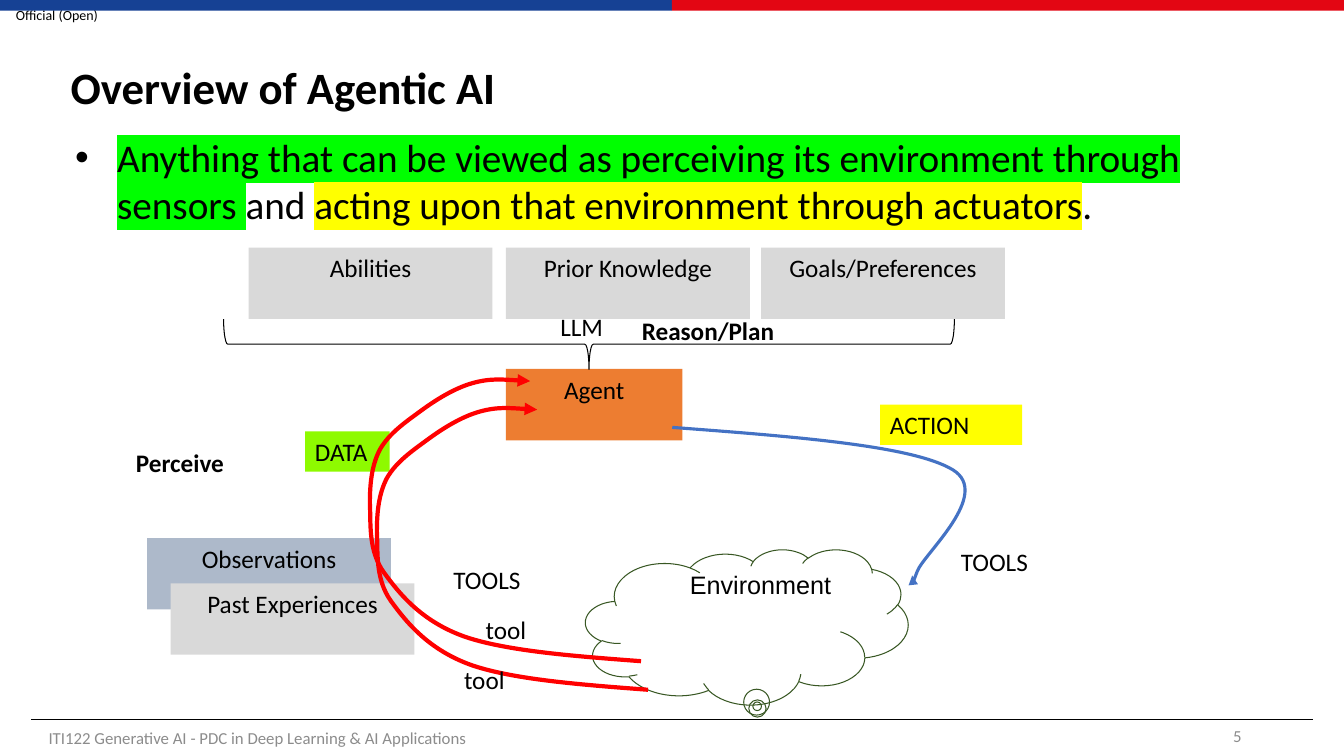
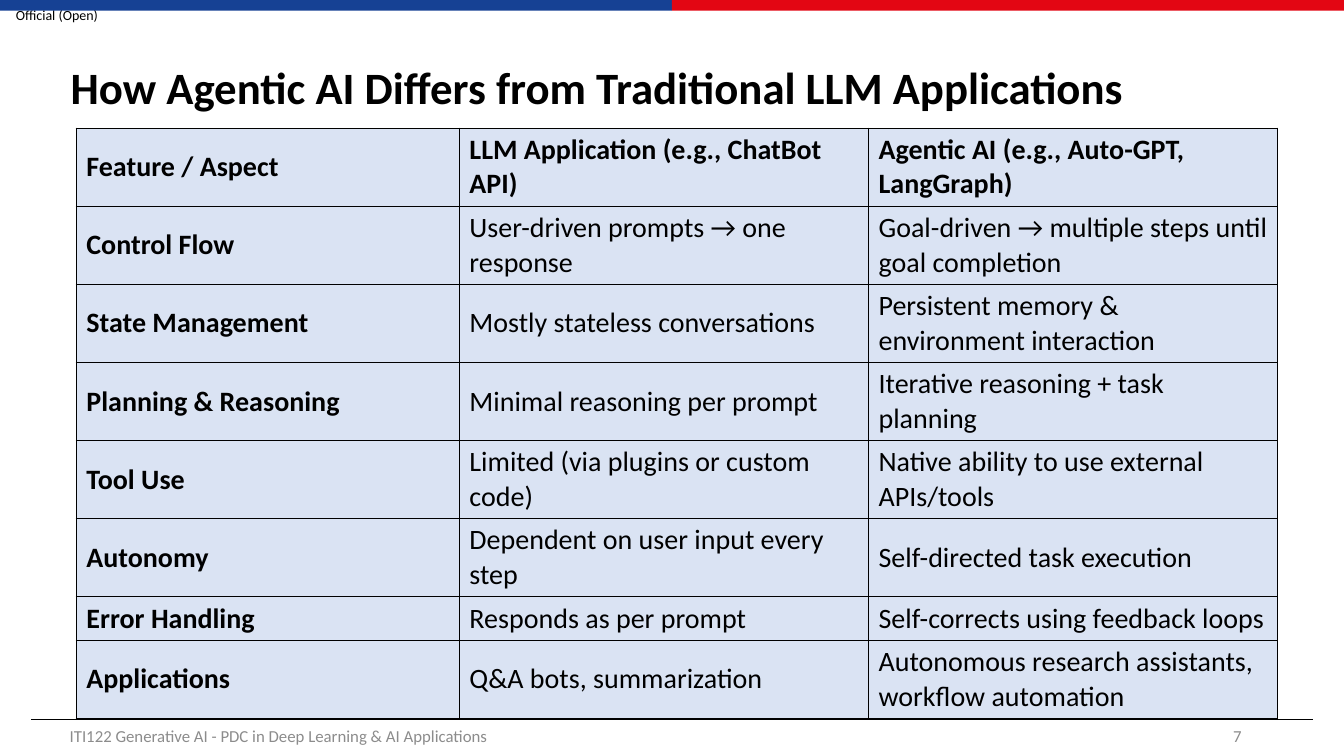
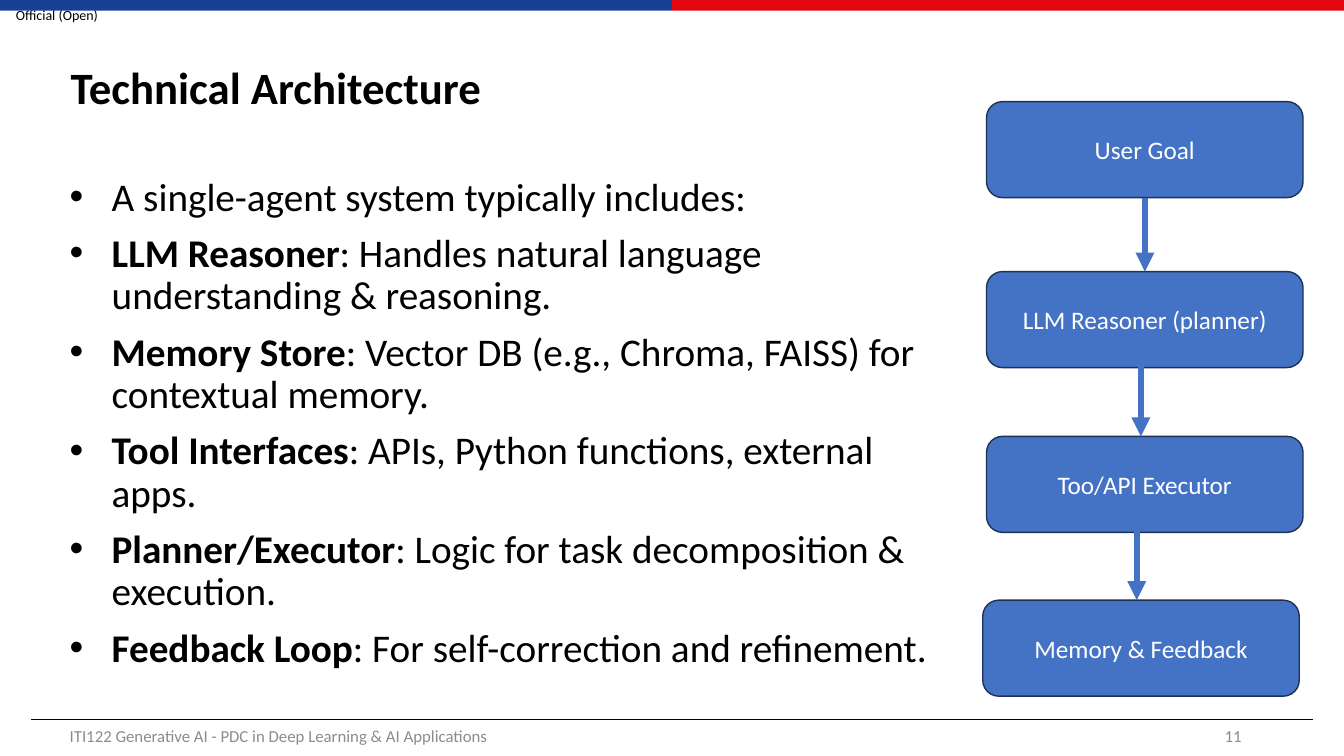
from pptx import Presentation
from pptx.dml.color import RGBColor
from pptx.enum.shapes import MSO_CONNECTOR, MSO_SHAPE
from pptx.enum.text import MSO_ANCHOR, MSO_AUTO_SIZE, PP_ALIGN
from pptx.oxml.ns import qn
from pptx.oxml.xmlchemy import OxmlElement
from pptx.util import Pt

RECTANGLE, ROUNDED = MSO_SHAPE.RECTANGLE, MSO_SHAPE.ROUNDED_RECTANGLE
BRACE, CLOUD = MSO_SHAPE.RIGHT_BRACE, MSO_SHAPE.CLOUD_CALLOUT
STRAIGHT = MSO_CONNECTOR.STRAIGHT
TOP, MIDDLE = MSO_ANCHOR.TOP, MSO_ANCHOR.MIDDLE
LEFT, CENTER, RIGHT = PP_ALIGN.LEFT, PP_ALIGN.CENTER, PP_ALIGN.RIGHT
NO_AUTOFIT = MSO_AUTO_SIZE.NONE

COLORS = {
    "black": "000000", "white": "FFFFFF", "footer": "8C8C8C",
    "band_blue": "164194", "band_red": "E30613",
    "blue": "4472C4", "navy": "1E3256", "red": "FF0000",
    "orange": "ED7D31", "grey": "D9D9D9", "steel": "ADB9CA",
    "lime": "8EFA00", "yellow": "FFFF00", "green": "00FF00",
    "cloud_line": "385723", "cell": "DAE3F3",
}
FONT = "Calibri"
WIDTH, HEIGHT = 960, 540
FOOTER = "ITI122 Generative AI - PDC in Deep Learning & AI Applications"

COMPARISON = [
    ("Feature / Aspect", "LLM Application (e.g., ChatBot API)",
     "Agentic AI (e.g., Auto-GPT, LangGraph)"),
    ("Control Flow", "User-driven prompts → one response",
     "Goal-driven → multiple steps until goal completion"),
    ("State Management", "Mostly stateless conversations",
     "Persistent memory & environment interaction"),
    ("Planning & Reasoning", "Minimal reasoning per prompt",
     "Iterative reasoning + task planning"),
    ("Tool Use", "Limited (via plugins or custom code)",
     "Native ability to use external APIs/tools"),
    ("Autonomy", "Dependent on user input every step",
     "Self-directed task execution"),
    ("Error Handling", "Responds as per prompt",
     "Self-corrects using feedback loops"),
    ("Applications", "Q&A bots, summarization",
     "Autonomous research assistants, workflow automation"),
]
COMPONENTS = [
    ("LLM Reasoner", ": Handles natural language understanding & reasoning."),
    ("Memory Store", ": Vector DB (e.g., Chroma, FAISS) for contextual memory."),
    ("Tool Interfaces", ": APIs, Python functions, external apps."),
    ("Planner/Executor", ": Logic for task decomposition & execution."),
    ("Feedback Loop", ": For self-correction and refinement."),
]

# Curves: a start point, then triples of control, control, end
PERCEIVE_CURVE = [
    (457.9, 472.3),
    (410.4, 468.7), (362.9, 465.1), (332.6, 455),
    (301.7, 444.2), (285.8, 424.8), (274.3, 409),
    (262.8, 393.1), (265, 373.7), (264.2, 359.3),
    (264.2, 344.9), (265.7, 331.9), (271.4, 321.1),
    (277.9, 309.6), (289.4, 301.7), (300.2, 293.8),
    (311, 285.8), (324.7, 277.2), (337.7, 273.6),
    (350.6, 270), (364.3, 271.4), (378.7, 272.2),
]
ACTION_CURVE = [
    (480.2, 305.3),
    (565.9, 311.8), (651.6, 318.2), (680.4, 335.5),
    (709.2, 352.8), (659.5, 396), (655.2, 408.2),
    (650.2, 421.2), (650.9, 416.2), (651.6, 411.1),
]


def rgb(name):
    return RGBColor.from_string(COLORS[name])


def color_element(name):
    element = OxmlElement("a:srgbClr")
    element.set("val", COLORS[name])
    return element


# Text
def add_run(paragraph, text, size, color="black", bold=False, font=FONT, highlight=None):
    run = paragraph.add_run()
    run.text = text
    run.font.name, run.font.size, run.font.bold = font, Pt(size), bold
    run.font.color.rgb = rgb(color)
    if highlight:
        mark = OxmlElement("a:highlight")
        mark.append(color_element(highlight))
        run._r.rPr.find(qn("a:solidFill")).addnext(mark)


def write(shape, text, size=18, align=LEFT, anchor=TOP, wrap=True, **style):
    frame = shape.text_frame
    frame.auto_size, frame.word_wrap = NO_AUTOFIT, wrap
    frame.vertical_anchor = anchor
    paragraph = frame.paragraphs[0]
    paragraph.alignment = align
    add_run(paragraph, text, size, **style)
    return paragraph


def place(shape, left, top, width, height):
    shape.left, shape.top = Pt(left), Pt(top)
    shape.width, shape.height = Pt(width), Pt(height)


def add_label(slide, box, text, **style):
    label = slide.shapes.add_textbox(*map(Pt, box))
    write(label, text, **style)
    return label


def fill_body(slide, box, items, line_spacing):
    """Each item is a list of (text, run style) pairs."""
    body = slide.placeholders[1]
    place(body, *box)
    frame = body.text_frame
    frame.auto_size, frame.vertical_anchor = NO_AUTOFIT, TOP
    for index, runs in enumerate(items):
        paragraph = frame.add_paragraph() if index else frame.paragraphs[0]
        paragraph.space_before = Pt(10 if index else 0)
        paragraph.line_spacing = line_spacing
        properties = paragraph._p.get_or_add_pPr()
        properties.set("marL", str(Pt(30)))
        properties.set("indent", str(Pt(-30)))
        bullet = OxmlElement("a:buChar")
        bullet.set("char", "•")
        properties.append(bullet)
        for text, style in runs:
            add_run(paragraph, text, 28, **style)


# Shapes and lines
def add_box(slide, kind, box, fill=None, line=None, line_width=1):
    shape = slide.shapes.add_shape(kind, *map(Pt, box))
    shape.shadow.inherit = False
    if fill:
        shape.fill.solid()
        shape.fill.fore_color.rgb = rgb(fill)
    else:
        shape.fill.background()
    if line:
        shape.line.color.rgb = rgb(line)
        shape.line.width = Pt(line_width)
    else:
        shape.line.fill.background()
    return shape


def add_arrowhead(shape):
    head = OxmlElement("a:tailEnd")
    head.set("type", "triangle")
    shape.element.spPr.find(qn("a:ln")).append(head)


def add_line(slide, start, end, color, width):
    line = slide.shapes.add_connector(STRAIGHT, *map(Pt, start + end))
    line.line.color.rgb = rgb(color)
    line.line.width = Pt(width)
    line.element.spPr.append(OxmlElement("a:effectLst"))
    return line


def bend(curve, controls):
    """Turn each straight segment of a freeform into a cubic one."""
    for segment, pair in zip(curve.element.xpath(".//a:lnTo"), controls):
        cubic = OxmlElement("a:cubicBezTo")
        for x, y in pair:
            point = OxmlElement("a:pt")
            point.set("x", str(Pt(x) - curve.left))
            point.set("y", str(Pt(y) - curve.top))
            cubic.append(point)
        cubic.append(segment[0])
        segment.getparent().replace(segment, cubic)


def add_curved_arrow(slide, points, color, width, shift=(0, 0)):
    points = [(x + shift[0], y + shift[1]) for x, y in points]
    builder = slide.shapes.build_freeform(*map(Pt, points[0]))
    builder.add_line_segments([(Pt(x), Pt(y)) for x, y in points[3::3]], close=False)
    curve = builder.convert_to_shape()
    bend(curve, zip(points[1::3], points[2::3]))
    curve.shadow.inherit = False
    curve.fill.background()
    curve.line.color.rgb = rgb(color)
    curve.line.width = Pt(width)
    add_arrowhead(curve)


# Shared frame
def build_master(presentation, slide):
    """Draw the shared parts on a slide, then move them to the master."""
    master = presentation.slide_master
    label = add_label(slide, (0, 0, 81.4, 20.9), "Official (Open)", size=10,
                      align=CENTER, anchor=MIDDLE)
    frame = label.text_frame
    frame.margin_left = frame.margin_right = frame.margin_top = frame.margin_bottom = 0
    half = WIDTH / 2
    parts = [
        label,
        add_box(slide, RECTANGLE, (0, 0, half, 7.6), "band_blue"),
        add_box(slide, RECTANGLE, (half, 0, half, 7.6), "band_red"),
        add_line(slide, (22.3, 514.1), (938.2, 514.1), "black", 0.5),
    ]
    tree = master.element.cSld.spTree
    for index, part in enumerate(parts):
        part.element.xpath("./*/p:cNvPr")[0].set("id", str(100 + index))
        tree.insert(2 + index, part.element)
    place(master.placeholders[0], 43.2, 21.6, 869.8, 85)


def start_slide(slide, title, number, footer_at=(42.7, 511.2)):
    paragraph = write(slide.shapes.title, title, size=32, anchor=MIDDLE, bold=True)
    paragraph.line_spacing = 0.9
    add_label(slide, (*footer_at, 324, 28.8), FOOTER, size=12, anchor=MIDDLE, color="footer")
    add_label(slide, (678, 511.2, 216, 28.8), number, size=12, align=RIGHT,
              anchor=MIDDLE, color="footer")


# Slides
def build_overview(slide):
    start_slide(slide, "Overview of Agentic AI", "5", (27.6, 512.6))
    fill_body(slide, (46.5, 91.8, 869.8, 377.3), [[
        ("Anything that can be viewed as perceiving its environment through sensors ",
         {"highlight": "green"}),
        ("and ", {}),
        ("acting upon that environment through actuators", {"highlight": "yellow"}),
        (".", {}),
    ]], 1.0)

    # Agent and its inputs
    size = (174.2, 51)
    write(add_box(slide, RECTANGLE, (361.4, 263.5, 126, 51), "orange"), "Agent", align=CENTER)
    for left, text in [(177.6, "Abilities"), (543.6, "Goals/Preferences"),
                       (361.4, "Prior Knowledge")]:
        box = (left, 176.8, *size)
        write(add_box(slide, RECTANGLE, box, "grey"), text, align=CENTER)
    brace = add_box(slide, BRACE, (402.7, -15.1, 36, 522), line="black", line_width=0.75)
    brace.rotation = 90

    # Environment
    cloud = add_box(slide, CLOUD, (418.3, 392.4, 230.4, 110.9), line="cloud_line",
                    line_width=0.75)
    cloud.adjustments[0], cloud.adjustments[1] = 0.032, 0.511
    write(cloud, "Environment", align=CENTER, font="Arial").line_spacing = 0.9
    frame = cloud.text_frame
    frame.margin_left = Pt(36)
    frame.margin_right = frame.margin_top = frame.margin_bottom = 0
    add_curved_arrow(slide, ACTION_CURVE, "blue", 2.25)

    # Perception
    for left, top, fill, text in [(105.1, 384.3, "steel", "Observations"),
                                  (121.9, 416.6, "grey", "Past Experiences")]:
        write(add_box(slide, RECTANGLE, (left, top, *size), fill), text, align=CENTER)
    write(add_box(slide, RECTANGLE, (217.9, 308.2, 60.5, 28.8), "lime"), "DATA", wrap=False)
    for shift in [(0, 0), (5, 20.4)]:
        add_curved_arrow(slide, PERCEIVE_CURVE, "red", 3, shift)

    # Captions
    for left, top, width, text, bold in [
        (339.8, 435.2, 61.2, "tool", False),
        (324.4, 470.9, 61.2, "tool", False),
        (316.8, 399.6, 85, "TOOLS", False),
        (393.1, 218.5, 49.7, "LLM", False),
        (679.2, 386.6, 85, "TOOLS", False),
        (90, 316.1, 100, "Perceive", True),
        (451.4, 221.8, 167.8, "Reason/Plan", True),
    ]:
        add_label(slide, (left, top, width, 28.8), text, bold=bold)
    write(add_box(slide, RECTANGLE, (628.6, 289.1, 101.5, 28.8), "yellow"), "ACTION")


def style_cell(cell, text, bold):
    cell.fill.solid()
    cell.fill.fore_color.rgb = rgb("cell")
    cell.vertical_anchor = MIDDLE
    cell.margin_top = cell.margin_bottom = Pt(3.4)
    add_run(cell.text_frame.paragraphs[0], text, 20, bold=bold)
    properties = cell._tc.get_or_add_tcPr()
    for index, side in enumerate(["a:lnL", "a:lnR", "a:lnT", "a:lnB"]):
        border = OxmlElement(side)
        border.set("w", str(Pt(1)))
        solid = OxmlElement("a:solidFill")
        solid.append(color_element("black"))
        border.append(solid)
        properties.insert(index, border)


def build_comparison(slide):
    start_slide(slide, "How Agentic AI Differs from Traditional LLM Applications", "7")
    widths = [273.6, 292.3, 292.3]
    heights = [30.2 if row[0] == "Error Handling" else 53.3 for row in COMPARISON]
    box = (54.5, 91.6, sum(widths), sum(heights))
    table = slide.shapes.add_table(len(heights), len(widths), *map(Pt, box)).table
    for column, width in zip(table.columns, widths):
        column.width = Pt(width)
    for row_index, texts in enumerate(COMPARISON):
        table.rows[row_index].height = Pt(heights[row_index])
        for column_index, text in enumerate(texts):
            style_cell(table.cell(row_index, column_index), text,
                       row_index == 0 or column_index == 0)


def build_architecture(slide):
    start_slide(slide, "Technical Architecture", "11")
    items = [[("A single-agent system typically includes:", {})]]
    items += [[(name, {"bold": True}), (detail, {})] for name, detail in COMPONENTS]
    fill_body(slide, (42.6, 122.9, 648, 377.3), items, 0.9)

    # Flow from goal to feedback
    steps = [
        (704.7, 72.6, "User Goal"),
        (704.7, 194, "LLM Reasoner (planner)"),
        (704.7, 311.7, "Too/API Executor"),
        (702, 428.7, "Memory & Feedback"),
    ]
    for left, top, text in steps:
        box = add_box(slide, ROUNDED, (left, top, 226.1, 68.6), "blue", "navy")
        write(box, text, align=CENTER, anchor=MIDDLE, color="white")
    for index, (left, top, text) in enumerate(steps[1:]):
        x = 817.8 - 2.9 * index
        add_arrowhead(add_line(slide, (x, top - 52.6), (x, top), "blue", 4.5))


def main():
    presentation = Presentation()
    presentation.slide_width, presentation.slide_height = Pt(WIDTH), Pt(HEIGHT)
    content, title_only = presentation.slide_layouts[1], presentation.slide_layouts[5]
    slides = [presentation.slides.add_slide(layout)
              for layout in (content, title_only, content)]
    build_master(presentation, slides[0])
    for slide, build in zip(slides, (build_overview, build_comparison, build_architecture)):
        build(slide)
    presentation.save("out.pptx")


if __name__ == "__main__":
    main()
